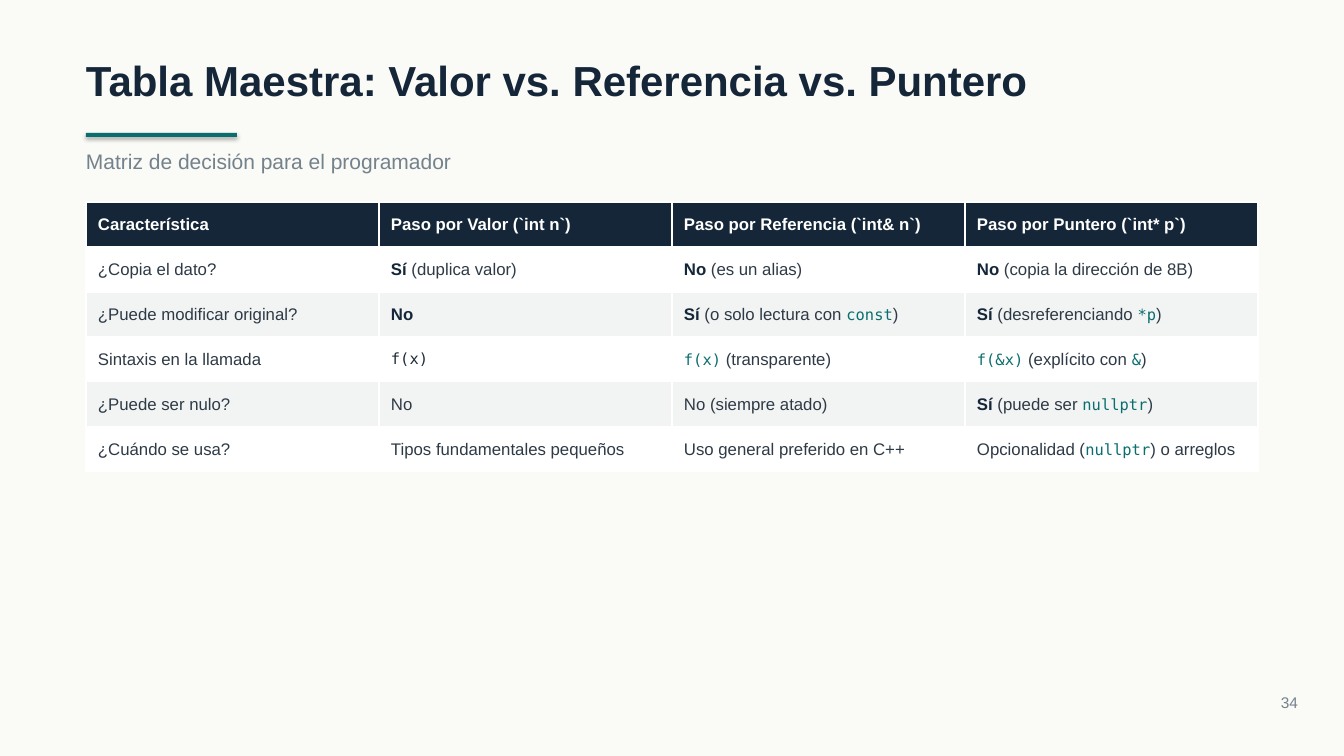
from dataclasses import dataclass

from lxml import etree
from pptx import Presentation
from pptx.dml.color import RGBColor
from pptx.enum.shapes import MSO_SHAPE
from pptx.enum.text import MSO_ANCHOR, MSO_AUTO_SIZE, PP_ALIGN
from pptx.oxml.ns import qn
from pptx.util import Pt

RECTANGLE = MSO_SHAPE.RECTANGLE
MIDDLE = MSO_ANCHOR.MIDDLE
GROW = MSO_AUTO_SIZE.SHAPE_TO_FIT_TEXT
LEFT, RIGHT = PP_ALIGN.LEFT, PP_ALIGN.RIGHT
EMU_PER_PX = 914400 / 100.8
SANS, MONO = "Arial", "DejaVu Sans Mono"


@dataclass(frozen=True)
class Theme:
    """Colours and text formats of the deck."""

    paper: str = "FAFAF7"
    navy: str = "142638"
    teal: str = "0B6E6E"
    white: str = "FFFFFF"
    stripe: str = "F2F4F3"
    slate: str = "2E3A46"
    grey: str = "74828C"
    ink: str = "1E2B33"

    def text(self, role):
        """Return the font values for a text role."""
        size, family, colour, bold = {
            "title": (30, SANS, self.navy, True),
            "subtitle": (15, SANS, self.grey, False),
            "number": (11, SANS, self.grey, False),
            "header": (12, SANS, self.white, True),
            "body": (12, SANS, self.slate, False),
            "strong": (12, SANS, self.navy, True),
            "code": (11, MONO, self.teal, False),
            "plain_code": (11, MONO, self.ink, False),
        }[role]
        return {"size": Pt(size), "name": family, "bold": bold}, colour


class SlideBuilder:
    """Draws themed elements, measured in px, on one slide."""

    def __init__(self, slide, theme):
        """Keep the slide and theme and paint the background."""
        self.slide, self.theme = slide, theme
        self.paint(slide.background.fill, theme.paper)

    def px(self, *lengths):
        """Turn px lengths into EMU."""
        return [round(length * EMU_PER_PX) for length in lengths]

    def paint(self, fill, colour):
        """Make a fill solid."""
        fill.solid()
        fill.fore_color.rgb = RGBColor.from_string(colour)

    def add_spans(self, paragraph, spans):
        """Add (role, text) spans as formatted runs."""
        for role, words in spans:
            run = paragraph.add_run()
            run.text = words
            values, colour = self.theme.text(role)
            for attribute, value in values.items():
                setattr(run.font, attribute, value)
            run.font.color.rgb = RGBColor.from_string(colour)

    def text(self, box, role, words, align=LEFT):
        """Add a one-line text box without insets."""
        frame = self.slide.shapes.add_textbox(*self.px(*box)).text_frame
        layout = {"margin_left": 0, "margin_top": 0, "margin_right": 0,
                  "margin_bottom": 0, "word_wrap": True, "auto_size": GROW}
        for attribute, value in layout.items():
            setattr(frame, attribute, value)
        frame.paragraphs[0].alignment = align
        self.add_spans(frame.paragraphs[0], [(role, words)])

    def bar(self, box, colour):
        """Add an accent bar that keeps the theme shadow."""
        accent = self.slide.shapes.add_shape(RECTANGLE, *self.px(*box))
        self.paint(accent.fill, colour)
        accent.line.fill.background()

    def border(self, cell):
        """Draw a thin white line on every side of a cell."""
        properties = cell._tc.get_or_add_tcPr()
        for position, side in enumerate(("lnL", "lnR", "lnT", "lnB")):
            line = etree.Element(qn(f"a:{side}"), w=str(Pt(0.96)))
            solid = etree.SubElement(line, qn("a:solidFill"))
            etree.SubElement(solid, qn("a:srgbClr"), val=self.theme.white)
            properties.insert(position, line)

    def table(self, left, top, column_width, row_height, rows):
        """Add a table with a dark header and striped rows."""
        columns = len(rows[0])
        box = (left, top, column_width * columns, row_height * len(rows))
        grid = self.slide.shapes.add_table(
            len(rows), columns, *self.px(*box)).table
        side, edge = self.px(12, 5)
        layout = {"margin_left": side, "margin_right": side,
                  "margin_top": edge, "margin_bottom": edge,
                  "vertical_anchor": MIDDLE}
        stripes = (self.theme.stripe, self.theme.white)
        for row_index, row in enumerate(rows):
            fill = stripes[row_index % 2] if row_index else self.theme.navy
            for column_index, spans in enumerate(row):
                cell = grid.cell(row_index, column_index)
                for attribute, value in layout.items():
                    setattr(cell, attribute, value)
                self.paint(cell.fill, fill)
                self.border(cell)
                self.add_spans(cell.text_frame.paragraphs[0], spans)


def body(words):
    """Return a span of ordinary text."""
    return "body", words


def code(words):
    """Return a span of highlighted code."""
    return "code", words


YES, NO = ("strong", "Sí"), ("strong", "No")
HEADINGS = ("Característica", "Paso por Valor (`int n`)",
            "Paso por Referencia (`int& n`)", "Paso por Puntero (`int* p`)")
COMPARISON = [
    [[("header", heading)] for heading in HEADINGS],
    [[body("¿Copia el dato?")],
     [YES, body(" (duplica valor)")],
     [NO, body(" (es un alias)")],
     [NO, body(" (copia la dirección de 8B)")]],
    [[body("¿Puede modificar original?")],
     [NO],
     [YES, body(" (o solo lectura con "), code("const"), body(")")],
     [YES, body(" (desreferenciando "), code("*p"), body(")")]],
    [[body("Sintaxis en la llamada")],
     [("plain_code", "f(x)")],
     [code("f(x)"), body(" (transparente)")],
     [code("f(&x)"), body(" (explícito con "), code("&"), body(")")]],
    [[body("¿Puede ser nulo?")],
     [body("No")],
     [body("No (siempre atado)")],
     [YES, body(" (puede ser "), code("nullptr"), body(")")]],
    [[body("¿Cuándo se usa?")],
     [body("Tipos fundamentales pequeños")],
     [body("Uso general preferido en C++")],
     [body("Opcionalidad ("), code("nullptr"), body(") o arreglos")]],
]


def main():
    """Build and save the comparison slide."""
    deck = Presentation()
    deck.slide_width, deck.slide_height = (
        round(side * EMU_PER_PX) for side in (1344, 756))
    theme = Theme()
    page = SlideBuilder(deck.slides.add_slide(deck.slide_layouts[6]), theme)
    page.text((86, 55, 1172, 50), "title",
              "Tabla Maestra: Valor vs. Referencia vs. Puntero")
    page.bar((86, 133, 151, 4), theme.teal)
    page.text((86, 149, 1172, 25), "subtitle",
              "Matriz de decisión para el programador")
    page.table(86, 202, 293, 45, COMPARISON)
    page.text((1207, 693, 91, 18), "number", "34", RIGHT)
    deck.save("out.pptx")


if __name__ == "__main__":
    main()
